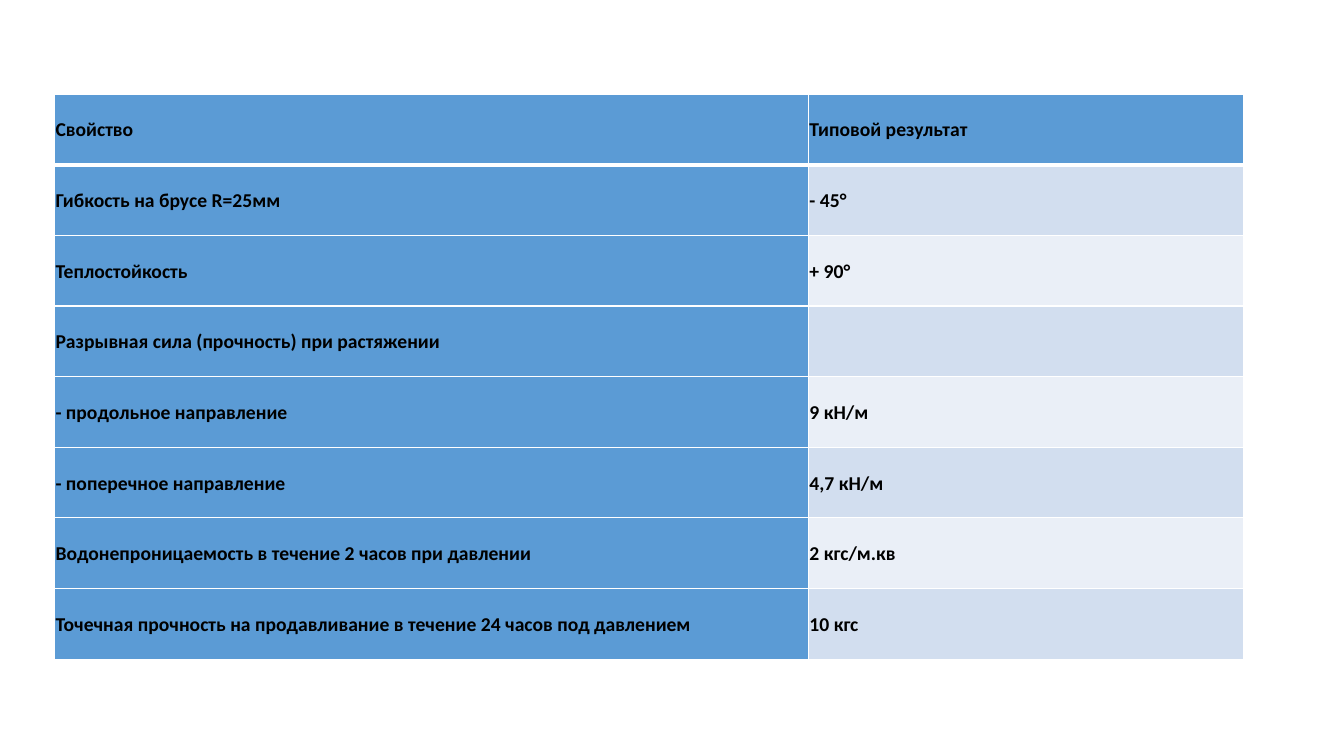
import pptx
import pptx.dml.color
import pptx.enum.text
import pptx.util
from lxml import etree
from pptx.util import Cm, Pt

# Content
ROWS = [
    ("Свойство", "Типовой результат"),
    ("Гибкость на брусе R=25мм", "- 45°"),
    ("Теплостойкость", "+ 90°"),
    ("Разрывная сила (прочность) при растяжении", ""),
    ("- продольное направление", "9 кН/м"),
    ("- поперечное направление", "4,7 кН/м"),
    ("Водонепроницаемость в течение 2 часов при давлении", "2 кгс/м.кв"),
    ("Точечная прочность на продавливание в течение 24 часов под давлением", "10 кгс"),
]
COL_WIDTHS = (Cm(19), Cm(10.97))
LEFT, TOP, HEIGHT = Cm(1.38), Cm(2.37), Cm(14.24)
HEAD_FILL, BANDS, BORDER, TEXT = "5B9BD5", ("EAEFF7", "D2DEEF"), "FFFFFF", "000000"


def rgb(value):
    return pptx.dml.color.RGBColor.from_string(value)


def set_borders(cell, widths):
    tc_pr = cell._tc.get_or_add_tcPr()
    ns = "{http://schemas.openxmlformats.org/drawingml/2006/main}"
    for side, width in widths.items():
        ln = etree.SubElement(tc_pr, ns + "ln" + side, w=str(Pt(width)))
        fill = etree.SubElement(ln, ns + "solidFill")
        etree.SubElement(fill, ns + "srgbClr", val=BORDER)


def fill_cell(cell, text, color):
    cell.fill.solid()
    cell.fill.fore_color.rgb = rgb(color)
    cell.vertical_anchor = pptx.enum.text.MSO_ANCHOR.MIDDLE
    cell.margin_left = cell.margin_right = Cm(0.02)
    cell.margin_top = cell.margin_bottom = Cm(0.02)
    if not text:
        return
    p = cell.text_frame.paragraphs[0]
    p.line_spacing = 1.07
    p.space_after = Pt(8)
    r = p.add_run()
    r.text = text
    r.font.name = "Calibri"
    r.font.size = Pt(14)
    r.font.bold = True
    r.font.color.rgb = rgb(TEXT)


# Slide
prs = pptx.Presentation()
prs.slide_width, prs.slide_height = Cm(33.87), Cm(19.05)
s = prs.slides.add_slide(prs.slide_layouts[6])

# Table of properties
table = s.shapes.add_table(len(ROWS), len(COL_WIDTHS), LEFT, TOP,
                           sum(COL_WIDTHS), HEIGHT).table
for column, width in zip(table.columns, COL_WIDTHS):
    column.width = width

# Cells: solid header row and first column, banded results
for i, row in enumerate(ROWS):
    for j, text in enumerate(row):
        cell = table.cell(i, j)
        set_borders(cell, {"L": 1, "R": 1, "T": 3 if i == 1 else 1, "B": 3 if i == 0 else 1})
        fill_cell(cell, text, HEAD_FILL if i == 0 or j == 0 else BANDS[i % 2])

prs.save("out.pptx")
